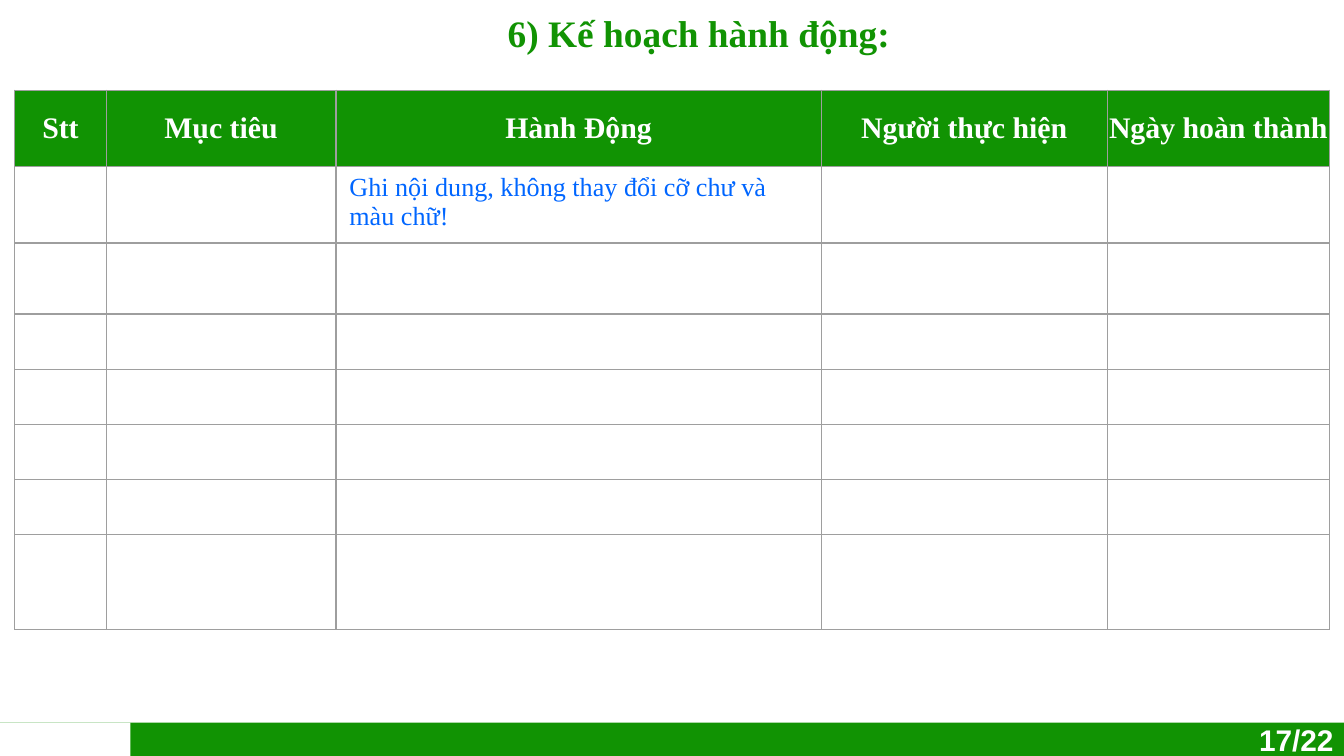
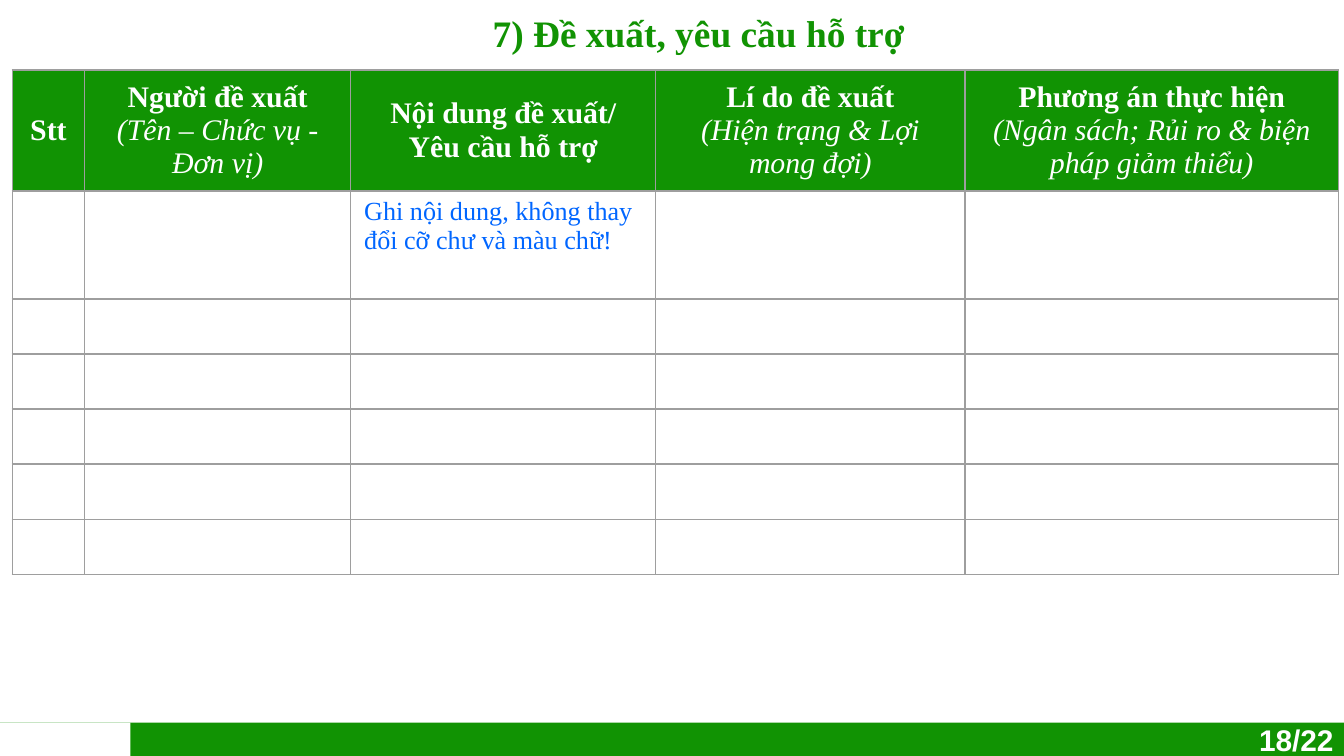
from copy import deepcopy
from dataclasses import dataclass

from lxml.etree import SubElement
from pptx import Presentation
from pptx.dml.color import RGBColor
from pptx.enum.shapes import MSO_SHAPE
from pptx.enum.text import MSO_ANCHOR, PP_ALIGN
from pptx.oxml.ns import qn
from pptx.slide import Slide
from pptx.table import _Cell
from pptx.text.text import TextFrame
from pptx.util import Inches, Pt

GREEN = RGBColor(0x11, 0x93, 0x03)
WHITE = RGBColor(0xFF, 0xFF, 0xFF)
BLUE = RGBColor(0x00, 0x66, 0xFF)
GREY = RGBColor(0x9E, 0x9E, 0x9E)

SERIF, SANS = "Times New Roman", "Arial"
WIDTH, HEIGHT = Inches(10), Inches(5.625)

FOOTER_TOP = 95.6
PAGE_COUNT = 22
HINT_COLUMN = 2
HINT = "Ghi nội dung, không thay đổi cỡ chư và màu chữ!"
SMALL_ROW = 7.28


@dataclass(frozen=True)
class Form:
    """A fill-in table; lengths are percentages of the slide's size."""
    title: str
    page: int
    left: float
    top: float
    columns: tuple[float, ...]
    rows: tuple[float, ...]
    headings: tuple[str, ...]
    flush_headings: bool = False


FORMS = (
    Form(
        "6) Kế hoạch hành động:", 17, 1.1, 11.95,
        (6.8, 17.1, 36.1, 21.3, 16.5),
        (10.1, 10.1, 9.4, *[SMALL_ROW] * 4, 12.65),
        ("Stt", "Mục tiêu", "Hành Động", "Người thực hiện", "Ngày hoàn thành"),
        flush_headings=True,
    ),
    Form(
        "7) Đề xuất, yêu cầu hỗ trợ", 18, 0.9, 9.25,
        (5.4, 19.8, 22.7, 23, 27.8),
        (15.9, 14.3, *[SMALL_ROW] * 5),
        (
            "Stt",
            "Người đề xuất\v(Tên – Chức vụ - Đơn vị)",
            "Nội dung đề xuất/\vYêu cầu hỗ trợ",
            "Lí do đề xuất\v(Hiện trạng & Lợi mong đợi)",
            "Phương án thực hiện\v(Ngân sách; Rủi ro & biện pháp giảm thiểu)",
        ),
    ),
)


def across(percent: float) -> int:
    return round(WIDTH * percent / 100)


def down(percent: float) -> int:
    return round(HEIGHT * percent / 100)


def write(frame: TextFrame, text: str, size: float, color: RGBColor,
          font: str = SERIF, bold: bool = False,
          align: PP_ALIGN = PP_ALIGN.LEFT) -> None:
    """Fill the frame; runs in parentheses become light italics."""
    frame.word_wrap = True
    paragraph = frame.paragraphs[0]
    paragraph.text = text
    paragraph.alignment = align
    for run in paragraph.runs:
        aside = run.text.startswith("(")
        run.font.name = font
        run.font.size = Pt(size)
        run.font.color.rgb = color
        run.font.bold = bold and not aside
        run.font.italic = aside
    for line_break in paragraph._p.findall(qn("a:br")):
        line_break.append(deepcopy(paragraph.runs[0].font._rPr))


def add_band(slide: Slide, width: float, color: RGBColor) -> None:
    band = slide.shapes.add_shape(
        MSO_SHAPE.RECTANGLE, 0, down(FOOTER_TOP),
        across(width), HEIGHT - down(FOOTER_TOP))
    band.shadow.inherit = False
    band.fill.solid()
    band.fill.fore_color.rgb = color
    band.line.fill.background()


def add_frame(slide: Slide, form: Form) -> None:
    """Draw the footer, page number and title."""
    add_band(slide, 100, GREEN)
    add_band(slide, 9.7, WHITE)

    number = slide.shapes.add_textbox(
        across(92.7), down(94.6), across(7.3), down(5.4)).text_frame
    number.margin_right = 0
    write(number, f"{form.page}/{PAGE_COUNT}", 16, WHITE, SANS, bold=True)

    title = slide.shapes.add_textbox(
        across(17.5), down(0.36), across(69), down(7.8)).text_frame
    title.vertical_anchor = MSO_ANCHOR.MIDDLE
    write(title, form.title, 20, GREEN, bold=True, align=PP_ALIGN.CENTER)


def add_borders(cell: _Cell) -> None:
    properties = cell._tc.get_or_add_tcPr()
    for index, side in enumerate(("a:lnL", "a:lnR", "a:lnT", "a:lnB")):
        border = properties.makeelement(qn(side), {"w": str(Pt(0.75))})
        fill = SubElement(border, qn("a:solidFill"))
        SubElement(fill, qn("a:srgbClr"), val=str(GREY))
        properties.insert(index, border)


def add_form_table(slide: Slide, form: Form) -> None:
    table = slide.shapes.add_table(
        len(form.rows), len(form.columns),
        across(form.left), down(form.top),
        across(sum(form.columns)), down(sum(form.rows))).table
    table.first_row = table.horz_banding = False
    for column, width in zip(table.columns, form.columns):
        column.width = across(width)
    for row, height in zip(table.rows, form.rows):
        row.height = down(height)
    for cell in table.iter_cells():
        cell.fill.background()
        add_borders(cell)
    for column, heading in enumerate(form.headings):
        cell = table.cell(0, column)
        cell.fill.solid()
        cell.fill.fore_color.rgb = GREEN
        cell.vertical_anchor = MSO_ANCHOR.MIDDLE
        if form.flush_headings:
            cell.margin_left = cell.margin_right = 0
        write(cell.text_frame, heading, 16, WHITE, bold=True,
              align=PP_ALIGN.CENTER)
    write(table.cell(1, HINT_COLUMN).text_frame, HINT, 14, BLUE)


def main() -> None:
    deck = Presentation()
    deck.slide_width, deck.slide_height = WIDTH, HEIGHT
    blank = deck.slide_layouts[6]
    for form in FORMS:
        slide = deck.slides.add_slide(blank)
        add_frame(slide, form)
        add_form_table(slide, form)
    deck.save("out.pptx")


if __name__ == "__main__":
    main()
